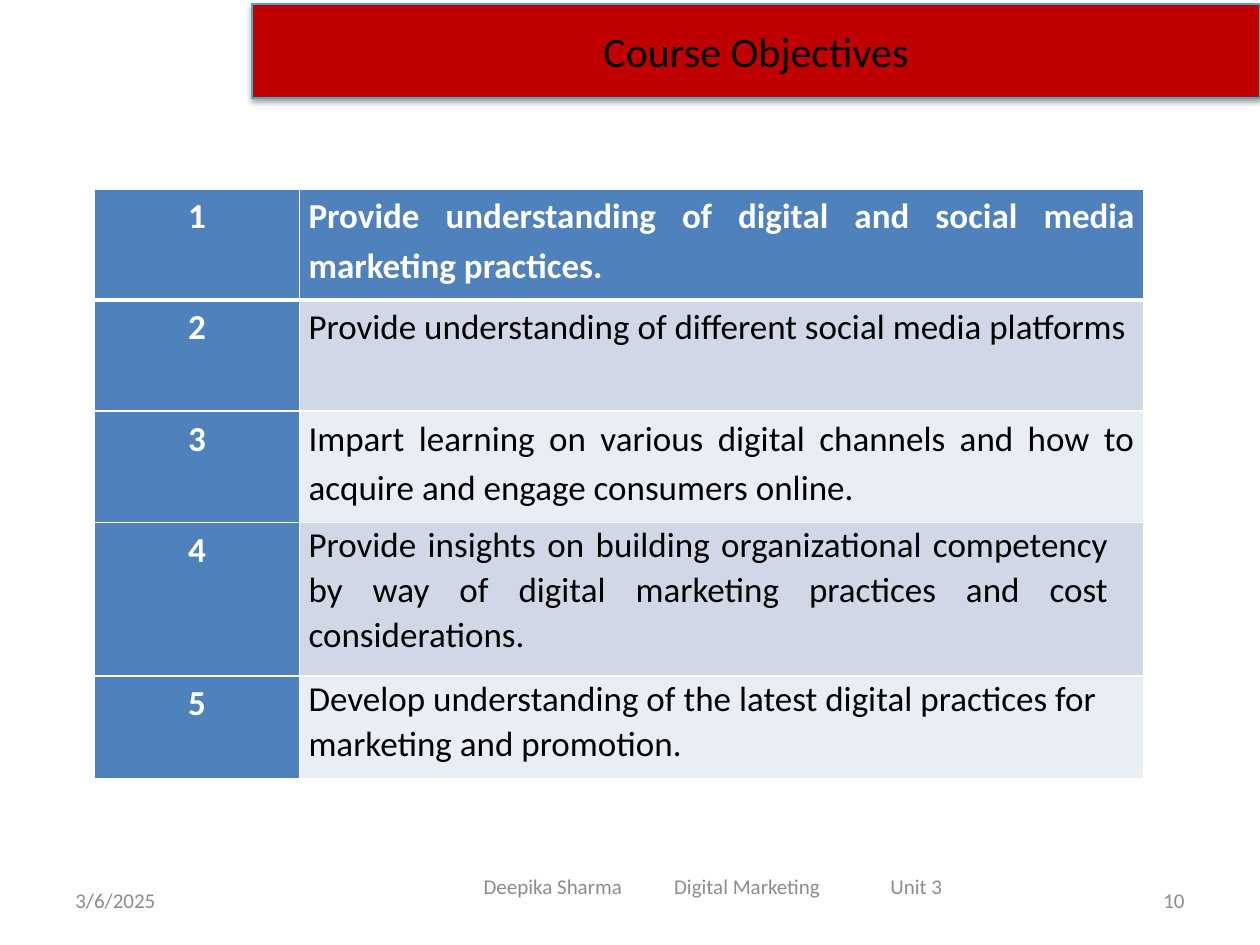
from dataclasses import dataclass

import lxml.etree
import pptx
import pptx.dml.color
import pptx.enum.shapes
import pptx.enum.text
import pptx.oxml
import pptx.oxml.ns
import pptx.util

Cm = pptx.util.Cm
Pt = pptx.util.Pt
Align = pptx.enum.text.PP_ALIGN
Anchor = pptx.enum.text.MSO_ANCHOR
qn = pptx.oxml.ns.qn

FONT = "Calibri"
COLORS = {
    "banner": "C00000",
    "banner_line": "46AAC5",
    "header": "4F81BD",
    "band_dark": "D0D8E8",
    "band_light": "E9EDF4",
    "footer": "8C8C8C",
    "white": "FFFFFF",
    "black": "000000",
}


@dataclass
class Objective:
    text: str
    height: float
    align: Align = Align.JUSTIFY
    line_spacing: float = 1.15
    right_margin: float = 0.18


@dataclass
class FooterItem:
    text: str
    left: float
    top: float
    width: float
    align: Align
    left_inset: float = 0.25
    tab_stops: tuple[float, ...] = ()


OBJECTIVES = [
    Objective("Provide understanding of digital and social media marketing practices.", 2.24),
    Objective("Provide understanding of different social media platforms", 2.24),
    Objective("Impart learning on various digital channels and how to acquire "
              "and engage consumers online.", 2.24),
    Objective("Provide insights on building organizational competency by way of "
              "digital marketing practices and cost considerations.",
              3.1, line_spacing=1.05, right_margin=0.72),
    Objective("Develop understanding of the latest digital practices for "
              "marketing and promotion.",
              2.06, Align.LEFT, line_spacing=1.05, right_margin=0.72),
]

FOOTER = [
    FooterItem("3/6/2025", 1.27, 17.65, 5.93, Align.LEFT),
    FooterItem("Deepika Sharma\tDigital Marketing\tUnit 3", 7.82, 17.35, 13.13,
               Align.LEFT, left_inset=1.93, tab_stops=(3.84, 8.2)),
    FooterItem("10", 18.2, 17.65, 5.93, Align.RIGHT),
]


def rgb(name: str) -> pptx.dml.color.RGBColor:
    return pptx.dml.color.RGBColor.from_string(COLORS[name])


def write(paragraph, text: str, size: float, color: str, align: Align, bold: bool = False) -> None:
    paragraph.alignment = align
    run = paragraph.add_run()
    run.text = text
    run.font.name = FONT
    run.font.size = Pt(size)
    run.font.bold = bold
    run.font.color.rgb = rgb(color)


def add_tab_stops(paragraph, positions: tuple[float, ...]) -> None:
    tab_list = lxml.etree.SubElement(paragraph._p.get_or_add_pPr(), qn("a:tabLst"))
    for position in positions:
        lxml.etree.SubElement(tab_list, qn("a:tab"), pos=str(Cm(position)), algn="l")


def add_footer_item(slide, item: FooterItem) -> None:
    shape = slide.shapes.add_textbox(Cm(item.left), Cm(item.top), Cm(item.width), Cm(1.01))
    frame = shape.text_frame
    frame.word_wrap = True
    frame.vertical_anchor = Anchor.MIDDLE
    frame.margin_left = Cm(item.left_inset)
    paragraph = frame.paragraphs[0]
    if item.tab_stops:
        add_tab_stops(paragraph, item.tab_stops)
    write(paragraph, item.text, 12, "footer", item.align)


def add_shadow(shape) -> None:
    """Give the shape a soft shadow straight below it."""
    shape.shadow.inherit = False
    effects = shape._element.spPr.find(qn("a:effectLst"))
    shadow = lxml.etree.SubElement(
        effects, qn("a:outerShdw"), blurRad=str(Pt(3.1)), dist=str(Pt(1.6)),
        dir="5400000", rotWithShape="0")
    color = lxml.etree.SubElement(shadow, qn("a:srgbClr"), val=COLORS["black"])
    lxml.etree.SubElement(color, qn("a:alpha"), val="38000")


def add_banner(slide, title: str) -> None:
    shape = slide.shapes.add_shape(
        pptx.enum.shapes.MSO_SHAPE.RECTANGLE, Cm(5.08), Cm(0.08), Cm(20.32), Cm(1.9))
    shape.fill.solid()
    shape.fill.fore_color.rgb = rgb("banner")
    shape.line.color.rgb = rgb("banner_line")
    shape.line.width = Pt(0.75)
    add_shadow(shape)
    shape.text_frame.vertical_anchor = Anchor.MIDDLE
    write(shape.text_frame.paragraphs[0], title, 24, "black", Align.CENTER)


def set_borders(cell, top: float, bottom: float) -> None:
    properties = cell._tc.get_or_add_tcPr()
    for side, width in {"L": 1, "R": 1, "T": top, "B": bottom}.items():
        line = lxml.etree.SubElement(properties, qn(f"a:ln{side}"), w=str(Pt(width)))
        fill = lxml.etree.SubElement(line, qn("a:solidFill"))
        lxml.etree.SubElement(fill, qn("a:srgbClr"), val=COLORS["white"])


def fill_cell(cell, text: str, fill: str, color: str, align: Align, bold: bool,
              line_spacing: float = 1.15, right_margin: float = 0.18) -> None:
    cell.fill.solid()
    cell.fill.fore_color.rgb = rgb(fill)
    cell.margin_left = Cm(0.18)
    cell.margin_right = Cm(right_margin)
    cell.margin_top = cell.margin_bottom = 0
    paragraph = cell.text_frame.paragraphs[0]
    paragraph.line_spacing = line_spacing
    write(paragraph, text, 20, color, align, bold)


def add_objectives_table(slide, objectives: list[Objective]) -> None:
    widths = (4.14, 17.02)
    height = sum(objective.height for objective in objectives)
    table = slide.shapes.add_table(
        len(objectives), len(widths), Cm(1.9), Cm(3.81), Cm(sum(widths)), Cm(height)).table
    for column, width in zip(table.columns, widths):
        column.width = Cm(width)
    for index, objective in enumerate(objectives):
        table.rows[index].height = Cm(objective.height)
        number_cell, text_cell = table.rows[index].cells
        for cell in (number_cell, text_cell):
            set_borders(cell, top=3 if index == 1 else 1, bottom=3 if index == 0 else 1)
        is_header = index == 0
        band = "header" if is_header else ("band_light", "band_dark")[index % 2]
        fill_cell(number_cell, str(index + 1), "header", "white", Align.CENTER, True)
        fill_cell(text_cell, objective.text, band, "white" if is_header else "black",
                  objective.align, is_header, objective.line_spacing, objective.right_margin)


def main() -> None:
    presentation = pptx.Presentation()
    presentation.slide_width = Cm(25.4)
    presentation.slide_height = Cm(19.05)
    slide = presentation.slides.add_slide(presentation.slide_layouts[6])
    for item in FOOTER:
        add_footer_item(slide, item)
    add_banner(slide, "Course Objectives")
    add_objectives_table(slide, OBJECTIVES)
    presentation.save("out.pptx")


if __name__ == "__main__":
    main()
